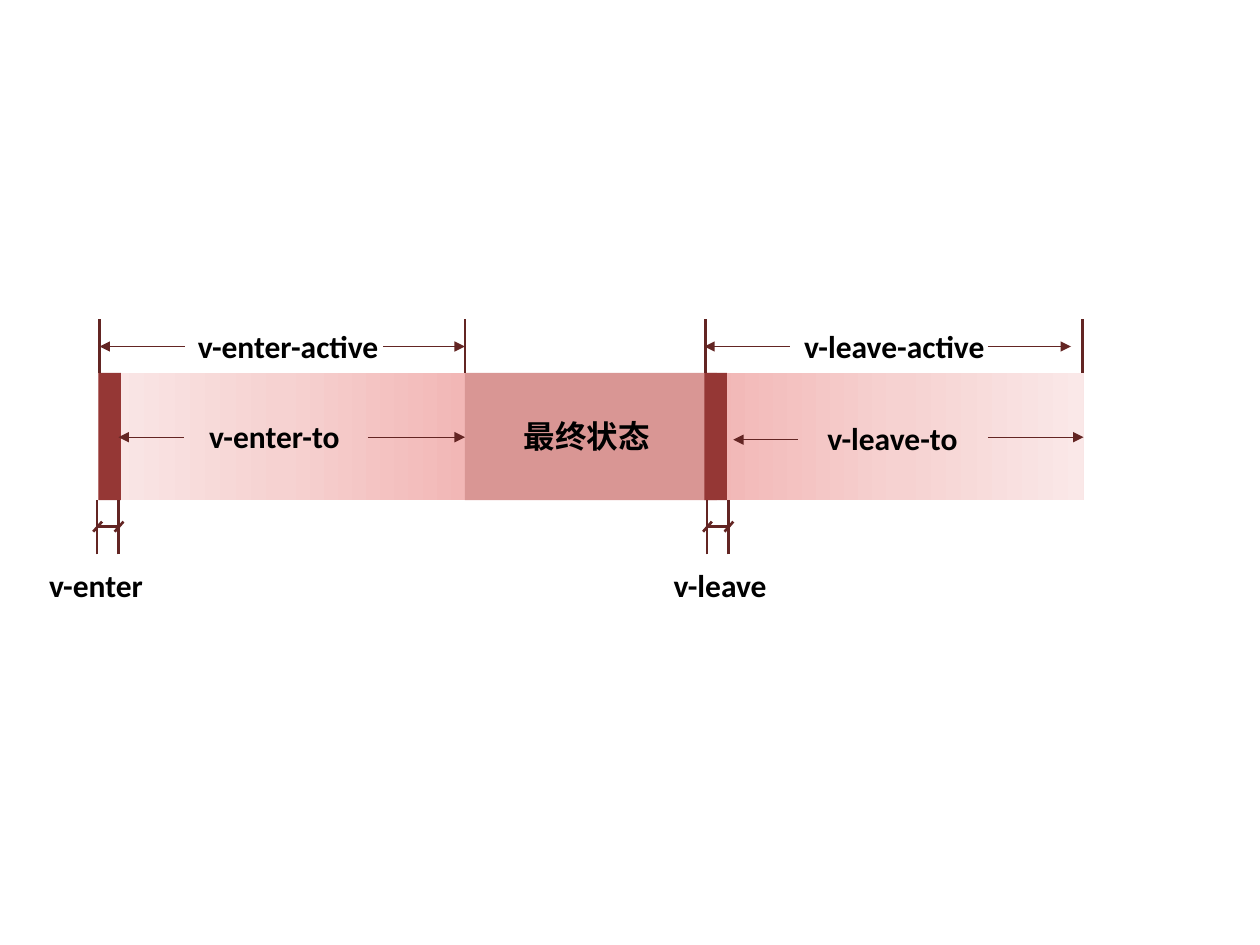
from dataclasses import dataclass

from lxml import etree
from pptx import Presentation
from pptx.dml.color import RGBColor
from pptx.enum import shapes, text
from pptx.oxml import ns
from pptx.util import Inches, Pt

LINE = "632523"
EDGE = "953735"
FINAL = "D99694"
FADE = ((0, "F2B7B6"), (50, "F6D2D1"), (100, "FAE8E8"))
BAR_TOP, BAR_HEIGHT = 2.96, 1.01
BAR_BOTTOM = BAR_TOP + BAR_HEIGHT
NBSP = "\u00a0"


@dataclass
class Band:
    left: float
    width: float
    fill: str = ""
    angle: int = 0


@dataclass
class Label:
    words: str
    left: float
    top: float
    width: float
    wrap: bool = False


@dataclass
class Arrow:
    start: float
    end: float
    y: float
    arrowhead: str


def color(value: str) -> RGBColor:
    return RGBColor.from_string(value)


def add_band(page, band: Band) -> None:
    box = page.shapes.add_shape(
        shapes.MSO_SHAPE.RECTANGLE, Inches(band.left), Inches(BAR_TOP),
        Inches(band.width), Inches(BAR_HEIGHT))
    box.shadow.inherit = False
    box.line.fill.background()
    if band.fill:
        box.fill.solid()
        box.fill.fore_color.rgb = color(band.fill)
        return
    box.fill.gradient()
    box.fill.gradient_angle = band.angle
    stops = box._element.spPr.find(".//" + ns.qn("a:gsLst"))
    for old in list(stops):
        stops.remove(old)
    for position, value in FADE:
        stop = etree.SubElement(stops, ns.qn("a:gs"), pos=str(position * 1000))
        etree.SubElement(stop, ns.qn("a:srgbClr"), val=value)


def add_text(page, words: str, *, left: float, top: float, width: float,
             height: float = 0.4, wrap: bool = False, size: int = 18,
             bold: bool = True, font: str = "Calibri",
             ink: str = "000000") -> None:
    box = page.shapes.add_textbox(
        Inches(left), Inches(top), Inches(width), Inches(height))
    frame = box.text_frame
    frame.word_wrap = wrap
    frame.auto_size = text.MSO_AUTO_SIZE.SHAPE_TO_FIT_TEXT
    para = frame.paragraphs[0]
    para.alignment = text.PP_ALIGN.CENTER
    span = para.add_run()
    span.text = words
    span.font.name = font
    span.font.size = Pt(size)
    span.font.bold = bold
    span.font.color.rgb = color(ink)


def add_line(page, x1: float, y1: float, x2: float, y2: float,
             weight: float = 1.5, arrowhead: str = "") -> None:
    line = page.shapes.add_connector(
        shapes.MSO_CONNECTOR.STRAIGHT,
        Inches(x1), Inches(y1), Inches(x2), Inches(y2))
    line.line.color.rgb = color(LINE)
    line.line.width = Pt(weight)
    if arrowhead:
        etree.SubElement(line.line._get_or_add_ln(),
                         ns.qn(f"a:{arrowhead}"), type="triangle")
    etree.SubElement(line._element.spPr, ns.qn("a:effectLst"))


def add_dimension(page, left: float, right: float, y: float = 4.18) -> None:
    """Draw a narrow span below the bar with slanted end marks."""
    for x in (left, right):
        add_line(page, x, 4.4, x, BAR_BOTTOM)
        add_line(page, x - 0.03, y + 0.04, x + 0.04, y - 0.04)
    add_line(page, left, y, right, y)


deck = Presentation()
deck.slide_width, deck.slide_height = Inches(10), Inches(7.5)
page = deck.slides.add_slide(deck.slide_layouts[6])

# Phases of the transition, then their first frames
BANDS = (
    Band(0.78, 2.91, angle=180),
    Band(3.69, 2, FINAL),
    Band(5.69, 2.91),
    Band(0.78, 0.18, EDGE),
    Band(5.59, 0.18, EDGE),
)
for band in BANDS:
    add_band(page, band)

# Labels
LABELS = (
    Label("最终状态" + NBSP, 4.05, 3.26, 1.27),
    Label("v-enter" + NBSP, 0.28, 4.44, 1.02),
    Label("v-leave", 5.24, 4.44, 0.95),
    Label("v-leave-to " + NBSP, 6.46, 3.28, 1.36),
    Label("v-enter-to " + NBSP, 1.55, 3.26, 1.37),
    Label("v-enter-active" + NBSP, 1.46, 2.55, 1.71),
    Label("v-leave-active " + NBSP, 6.24, 2.55, 1.83, wrap=True),
)
for label in LABELS:
    add_text(page, label.words, left=label.left, top=label.top,
             width=label.width, wrap=label.wrap)

# Limits of the active phases
for x in (0.79, 3.69, 5.6, 8.59):
    add_line(page, x, BAR_TOP, x, 2.53)

# Arrows on both sides of the labels
ARROWS = (
    Arrow(0.79, 1.47, 2.75, "headEnd"),
    Arrow(3.04, 3.69, 2.75, "tailEnd"),
    Arrow(5.59, 6.27, 2.75, "headEnd"),
    Arrow(7.84, 8.5, 2.75, "tailEnd"),
    Arrow(0.94, 1.46, 3.47, "headEnd"),
    Arrow(2.92, 3.69, 3.47, "tailEnd"),
    Arrow(5.82, 6.33, 3.49, "headEnd"),
    Arrow(7.84, 8.6, 3.47, "tailEnd"),
)
for arrow in ARROWS:
    add_line(page, arrow.start, arrow.y, arrow.end, arrow.y,
             weight=0.75, arrowhead=arrow.arrowhead)

# Widths of the first frames
for left in (0.77, 5.61):
    add_dimension(page, left, left + 0.17)

deck.save("out.pptx")
